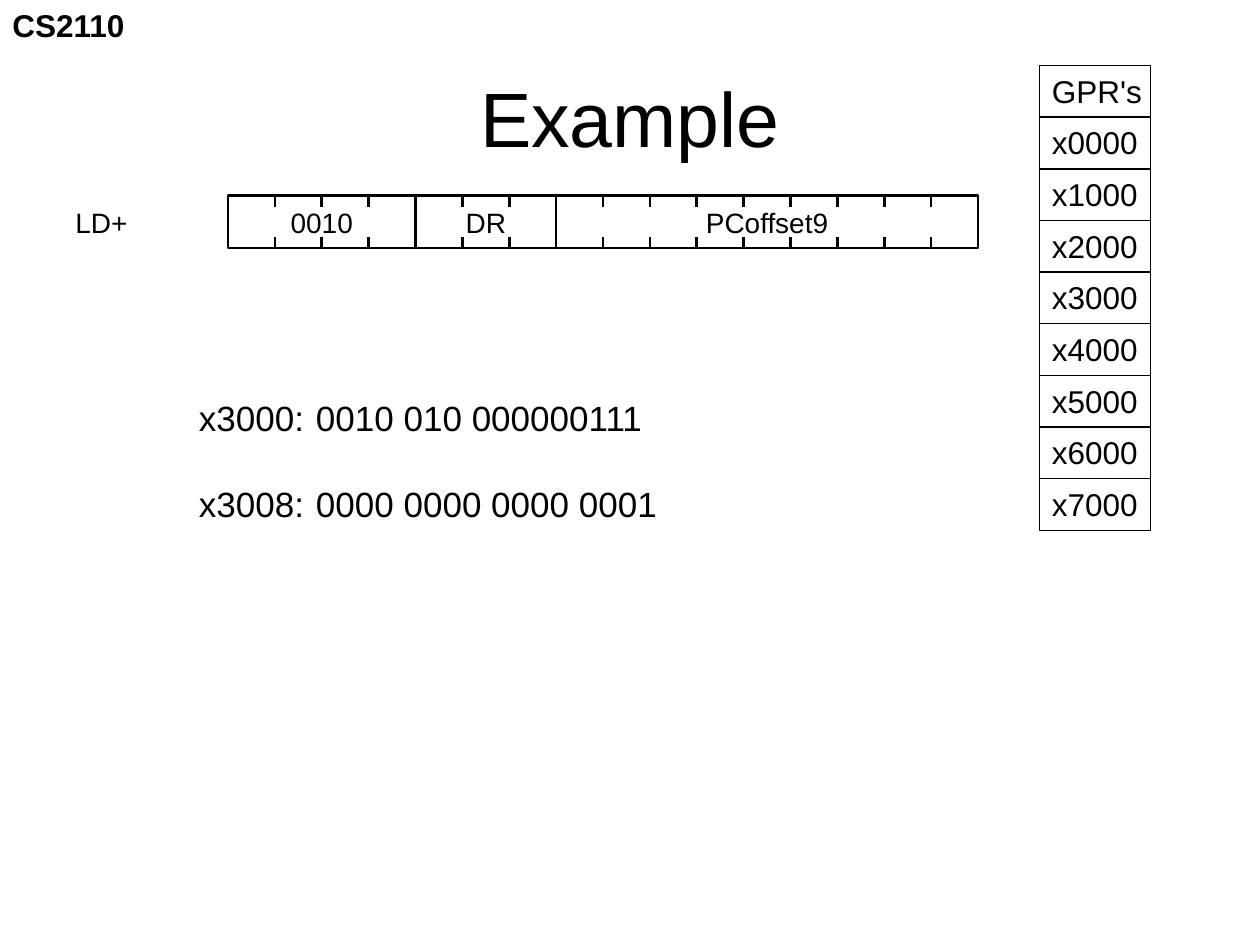
from lxml.etree import SubElement
from pptx import Presentation
from pptx.dml.color import RGBColor
from pptx.enum.shapes import MSO_CONNECTOR as CONNECTOR, MSO_SHAPE as SHAPE
from pptx.enum.text import MSO_ANCHOR as ANCHOR, MSO_AUTO_SIZE as AUTO, PP_ALIGN as ALIGN
from pptx.oxml.ns import qn
from pptx.util import Inches, Pt

COLORS = {"ink": "000000", "paper": "FFFFFF"}
FONT = "Arial"
BIT = 0.372
WORD_LEFT, WORD_TOP, WORD_HEIGHT = 1.81, 1.55, 0.42
TICK = 0.09
FIELDS = [("0010", 4), ("DR", 3), ("PCoffset9", 9)]
REGISTER_LEFT, REGISTER_TOP, REGISTER_PITCH = 8.25, 0.93, 0.41
MEMORY = [("x3000:", "0010 010 000000111"), ("x3008:", "0000 0000 0000 0001")]


def color(name):
    return RGBColor.from_string(COLORS[name])


def add_run(p, text, size, bold=False):
    r = p.add_run()
    r.text = text
    r.font.name = FONT
    r.font.size = Pt(size)
    r.font.bold = bold
    r.font.color.rgb = color("ink")


def set_text(sp, text, size, align=ALIGN.LEFT, bold=False):
    tf = sp.text_frame
    tf.word_wrap = False
    tf.auto_size = AUTO.NONE
    tf.vertical_anchor = ANCHOR.TOP
    p = tf.paragraphs[0]
    p.alignment = align
    add_run(p, text, size, bold)


def add_text(shapes, box, text, size, align=ALIGN.LEFT, bold=False):
    sp = shapes.add_textbox(*map(Inches, box))
    set_text(sp, text, size, align, bold)
    return sp


def add_box(shapes, box, width):
    sp = shapes.add_shape(SHAPE.RECTANGLE, *map(Inches, box))
    sp.shadow.inherit = False
    sp.fill.background()
    sp.line.color.rgb = color("ink")
    sp.line.width = Pt(width)
    return sp


def add_tick(shapes, x, y):
    line = shapes.add_connector(
        CONNECTOR.STRAIGHT, Inches(x), Inches(y), Inches(x), Inches(y + TICK))
    line.line.color.rgb = color("ink")
    line.line.width = Pt(1.5)
    SubElement(line._element.spPr, qn("a:effectLst"))


def add_field(shapes, left, label, bits):
    width = bits * BIT
    add_box(shapes, (left, WORD_TOP, width, WORD_HEIGHT), 1.5)
    for bit in range(1, bits):
        for y in (WORD_TOP, WORD_TOP + WORD_HEIGHT - TICK):
            add_tick(shapes, left + bit * BIT, y)
    add_text(shapes, (left, 1.58, width, 0.37), label, 16, ALIGN.CENTER)


def add_instruction(slide):
    shapes = slide.shapes.add_group_shape().shapes
    add_text(shapes, (0.5, 1.58, 0.61, 0.37), "LD+", 16)
    left = WORD_LEFT
    for label, bits in FIELDS:
        add_field(shapes, left, label, bits)
        left += bits * BIT


def add_registers(slide):
    labels = ["GPR's"] + [f"x{n}000" for n in range(8)]
    for i, label in enumerate(labels):
        top = REGISTER_TOP + (i - 1) * REGISTER_PITCH
        sp = add_box(slide.shapes, (REGISTER_LEFT, top, 0.88, REGISTER_PITCH), 0.75)
        set_text(sp, label, 18)


def add_memory(slide):
    sp = slide.shapes.add_textbox(*map(Inches, (1.48, 3.1, 4.43, 3.39)))
    tf = sp.text_frame
    tf.word_wrap = False
    for i, (address, value) in enumerate(MEMORY):
        p = tf.add_paragraph() if i else tf.paragraphs[0]
        p.space_before = Pt(25 if i else 0)
        tabs = SubElement(p._p.get_or_add_pPr(), qn("a:tabLst"))
        SubElement(tabs, qn("a:tab"), pos=str(Inches(0.93)), algn="l")
        add_run(p, f"{address}\t{value}", 20)


def main():
    prs = Presentation()
    prs.slide_width, prs.slide_height = Inches(10), Inches(7.5)
    slide = prs.slides.add_slide(prs.slide_layouts[6])
    slide.background.fill.solid()
    slide.background.fill.fore_color.rgb = color("paper")
    add_text(slide.shapes, (0, 0, 1.1, 0.4), "CS2110", 18, bold=True)
    title = add_text(slide.shapes, (0.5, 0.3, 9, 1.25), "Example", 44, ALIGN.CENTER)
    title.text_frame.vertical_anchor = ANCHOR.MIDDLE
    add_registers(slide)
    add_instruction(slide)
    add_memory(slide)
    prs.save("out.pptx")


if __name__ == "__main__":
    main()
